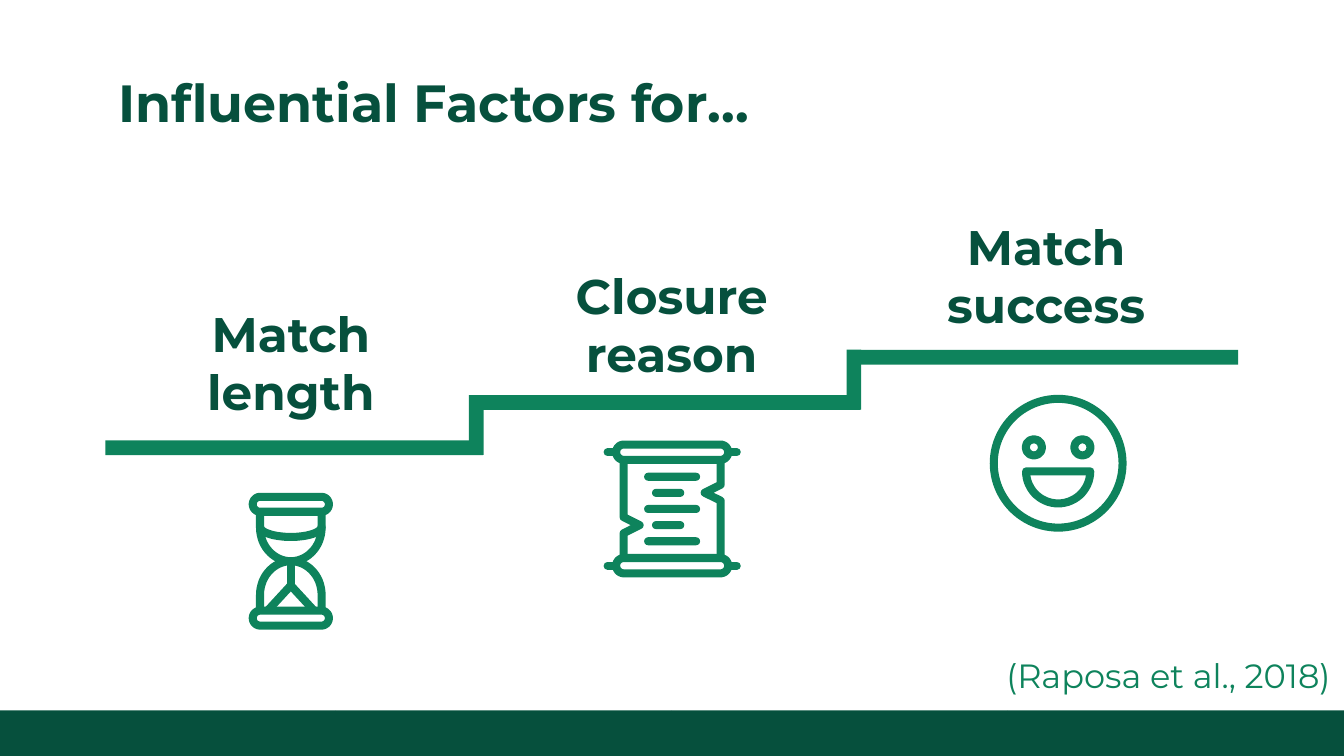
from math import cos, radians, sin

from pptx import Presentation
from pptx.dml.color import RGBColor
from pptx.enum.shapes import MSO_SHAPE
from pptx.enum.text import MSO_ANCHOR, MSO_AUTO_SIZE, PP_ALIGN
from pptx.oxml.ns import qn
from pptx.util import Pt

DARK = RGBColor(0x06, 0x50, 0x3D)
GREEN = RGBColor(0x0E, 0x83, 0x5C)
FACE = "Montserrat"
WIDE, HIGH = 720, 405

TITLE = ("Influential Factors for…", (56.2, 30.2, 607, 73.4))
CITE = ("(Raposa et al., 2018)", (478.8, 343.9, 241.2, 37.4))
LABELS = [
    ("Match length", (74.9, 155.7, 162, 79.9)),
    ("Closure reason", (275.3, 135.4, 169.2, 73.4)),
    ("Match success", (475.9, 109.1, 169.2, 73.4)),
]
STEP = {"left": 56.4, "top": 235.9, "wide": 202.3, "rise": 24.25, "thick": 7.9}
FLOOR = {"top": 380.6, "high": 24.4, "parts": 4}
STROKE = 4.3

RECT, OVAL, PILL = MSO_SHAPE.RECTANGLE, MSO_SHAPE.OVAL, MSO_SHAPE.ROUNDED_RECTANGLE

deck = Presentation()
deck.slide_width, deck.slide_height = Pt(WIDE), Pt(HIGH)
slide = deck.slides.add_slide(deck.slide_layouts.get_by_name("Comparison"))
shapes = slide.shapes


def put(shape, box):
    for name, size in zip(("left", "top", "width", "height"), box):
        setattr(shape, name, Pt(size))


def write(shape, text, box, size, color, bold, align, after=0):
    put(shape, box)
    frame = shape.text_frame
    frame.text = text
    para = frame.paragraphs[0]
    props = para._p.get_or_add_pPr()
    props.set("marL", "0")
    props.set("indent", "0")
    props.append(props.makeelement(qn("a:buNone"), {}))
    margins = {f"margin_{side}": Pt(7.2) for side in ("left", "top", "right", "bottom")}
    formats = [
        (frame, {"word_wrap": True, "auto_size": MSO_AUTO_SIZE.NONE,
                 "vertical_anchor": MSO_ANCHOR.TOP, **margins}),
        (para, {"alignment": align, "space_before": Pt(0), "space_after": Pt(after)}),
        (para.font, {"name": FACE, "size": Pt(size), "bold": bold}),
    ]
    for target, values in formats:
        for name, value in values.items():
            setattr(target, name, value)
    para.font.color.rgb = color


def block(kind, box, color=GREEN):
    shape = shapes.add_shape(kind, *map(Pt, box))
    if kind == PILL:
        shape.adjustments[0] = 0.5
    shape.shadow.inherit = False
    shape.fill.solid()
    shape.fill.fore_color.rgb = color
    shape.line.fill.background()


def outline(shape):
    shape.shadow.inherit = False
    shape.fill.background()
    shape.line.color.rgb = GREEN
    shape.line.width = Pt(STROKE)
    shape.element.spPr.find(qn("a:ln")).set("cap", "rnd")


def ring(box):
    outline(shapes.add_shape(OVAL, *map(Pt, box)))


def trace(*lines):
    """Draw all lines as one outline; a line that ends where it starts is closed."""
    pen = None
    for line in lines:
        spots = [(Pt(x), Pt(y)) for x, y in line]
        if pen is None:
            pen = shapes.build_freeform(*spots[0])
        else:
            pen.move_to(*spots[0])
        pen.add_line_segments(spots[1:], close=spots[0] == spots[-1])
    outline(pen.convert_to_shape())


def arc(x, y, wide, high, start=0, end=180):
    """Points of an ellipse from its left; they hang down if high > 0."""
    return [(x - wide * cos(radians(a)), y + high * sin(radians(a)))
            for a in range(start, end + 1, 6)]


def tube(x, y, wide, high):
    """Closed outline of a pill around a centre."""
    r = high / 2
    side = wide / 2 - r
    points = arc(x + side, y, r, r, 90, 270) + arc(x - side, y, r, r, 270, 450)
    return points + points[:1]


def stairs():
    left, top, wide, rise, thick = STEP.values()
    for i in range(len(LABELS)):
        x, y = left + i * wide, top - i * rise
        block(RECT, (x, y, wide, thick))
        if i:
            block(RECT, (x - thick + 0.4, y, thick, rise + thick))


def glass(x, mid):
    wide, high, reach = 16.5, 18, 26
    lines = []
    for way in (-1, 1):
        curve = arc(x, mid + way * high, wide, -way * high)
        edge = mid + way * reach
        lines += [[(x - wide, edge), *curve, (x + wide, edge)],
                  tube(x, mid + way * 30.5, 40.8, 8)]
    foot, tip = mid + reach, (x, mid + 13)
    trace(*lines, arc(x, mid - 18.5, wide, 5.5), [(x, mid), tip],
          [(x - 12, foot), tip, (x + 12, foot)])


def scroll(x, mid):
    lines = []
    for way in (-1, 1):
        side, notch, row = x + way * 26, mid - way * 8.7, mid + way * 30.4
        lines += [[(side, mid - 26), (side, notch - 4.3), (side - way * 8.6, notch),
                   (side, notch + 4.3), (side, mid + 26)],
                  tube(x, row, 60, 8.2)]
        lines += [[(x + end * 30, row), (x + end * 34.6, row)] for end in (-1, 1)]
    trace(*lines)
    for i, (left, wide) in enumerate([(-15, 30), (-10.8, 17.3)] * 2 + [(-15, 30)]):
        block(PILL, (x + left, mid + (i - 2) * 8.64 - STROKE / 2, wide, STROKE))


def smile(x, mid):
    ring((x - 34.5, mid - 34.5, 69, 69))
    for eye in (x - 13, x + 13):
        ring((eye - 4.4, mid - 12.9, 8.8, 8.8))
    mouth = arc(x, mid + 4.3, 17.2, 17.2)
    trace(mouth + mouth[:1])


def floor():
    top, high, parts = FLOOR.values()
    wide = WIDE / parts
    for i in range(parts):
        block(RECT, (i * wide, top, wide, high), DARK)


holders = {h.placeholder_format.idx: h for h in slide.placeholders}
write(holders[0], *TITLE, 28, DARK, True, PP_ALIGN.LEFT)
for i, (text, box) in enumerate(LABELS, 1):
    write(holders[i], text, box, 26, DARK, True, PP_ALIGN.CENTER, 16)
spare = holders[4].element
spare.getparent().remove(spare)

stairs()
glass(155.8, 300.7)
scroll(360.1, 272.7)
smile(566.9, 248.2)
floor()
write(shapes.add_textbox(0, 0, 0, 0), *CITE, 18, GREEN, False, PP_ALIGN.RIGHT)

deck.save("out.pptx")
